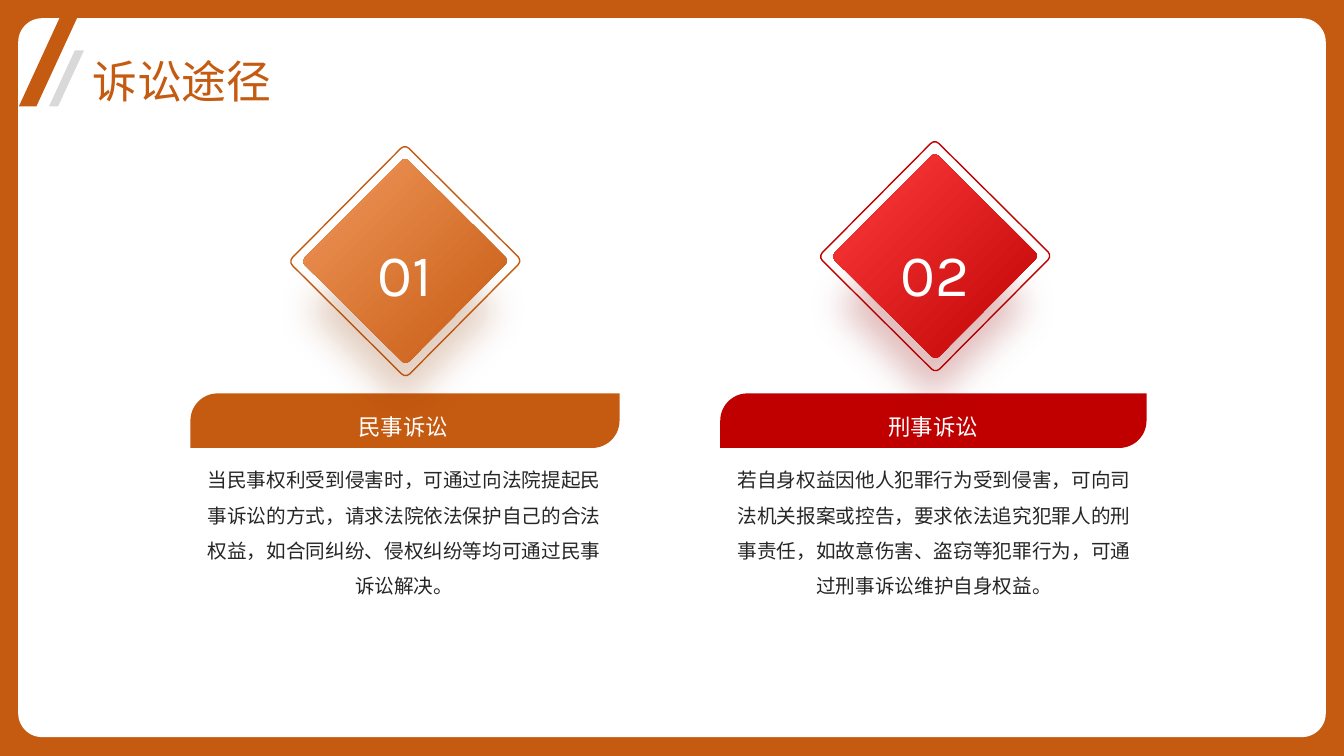
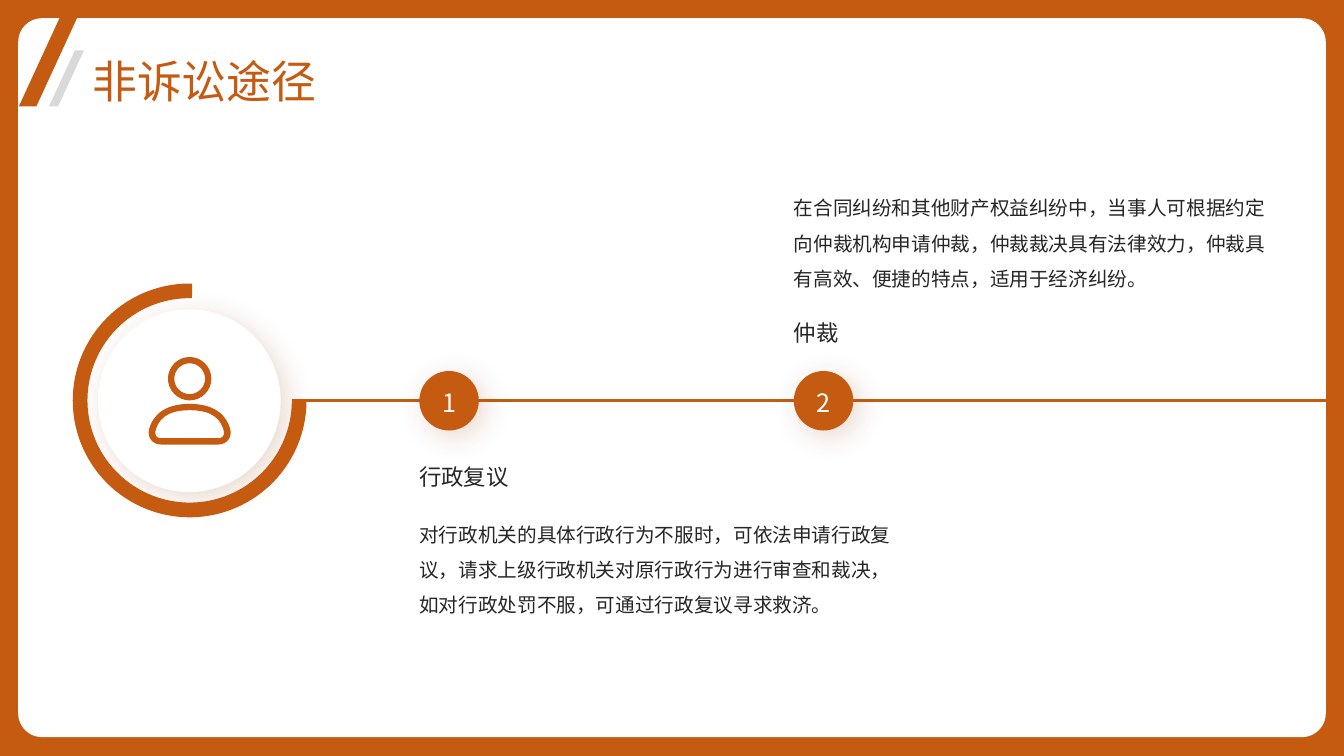
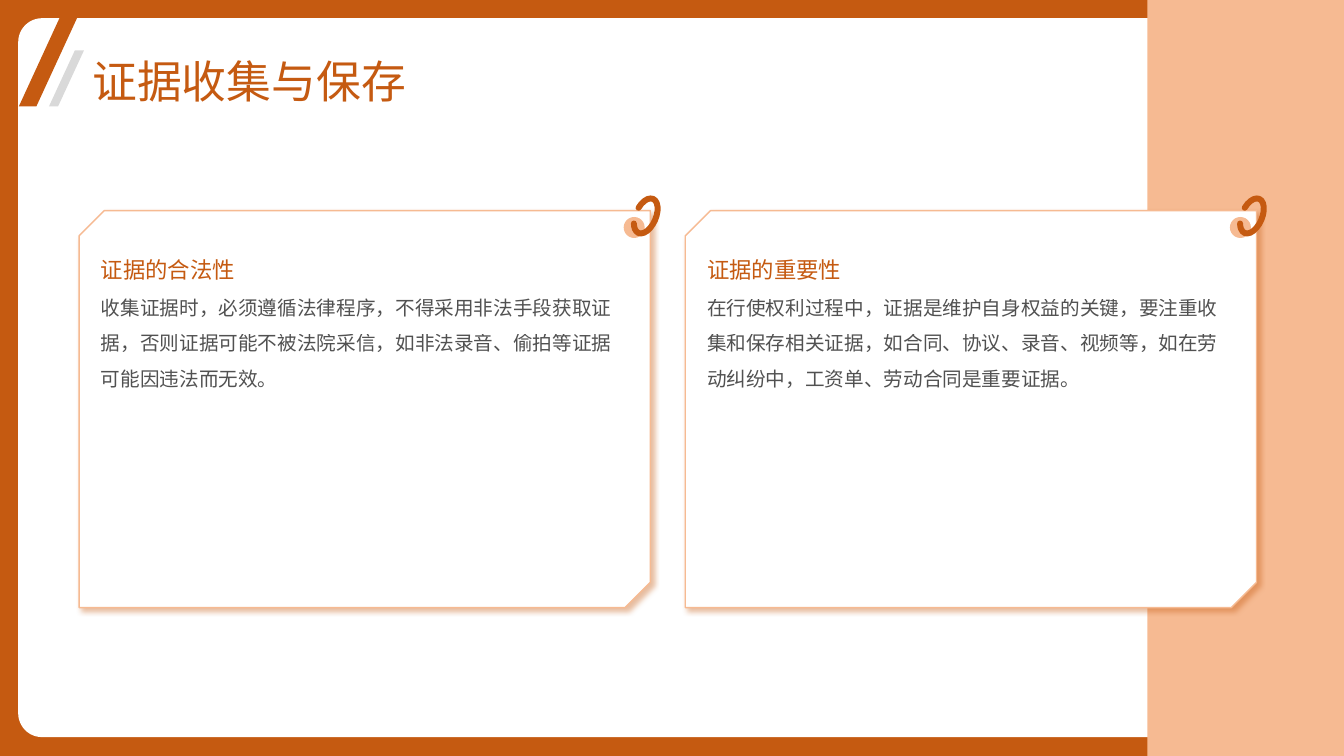
"""Builds three slides on legal remedies and evidence."""
from pptx import Presentation
from pptx import util as u
from pptx.dml.color import RGBColor
from pptx.enum import shapes, text
from pptx.oxml import ns
from pptx.oxml.xmlchemy import OxmlElement

SCALE = 914400 // 144
WIDTH, HEIGHT = 1920, 1080
CJK, LATIN = "Noto Sans CJK SC", "Karla"
COLORS = {
    "orange": "C55A11", "light_orange": "F1985C", "peach": "F6BA92", "brown": "94430D",
    "red": "C00000", "light_red": "FF4040", "dark_red": "900000",
    "white": "FFFFFF", "ink": "262626", "grey": "D9D9D9",
}
KIND = shapes.MSO_SHAPE
MIDDLE, TOP, BOTTOM = text.MSO_ANCHOR.MIDDLE, text.MSO_ANCHOR.TOP, text.MSO_ANCHOR.BOTTOM
LEFT, CENTER = text.PP_ALIGN.LEFT, text.PP_ALIGN.CENTER
SOFT_SHADOW = ("brown", 20, 20, 6, 45)
CARD_SHADOW = ("orange", 40, 4, 3, 45)

LAWSUITS = [
    {"number": "01", "name": "民事诉讼", "top": 255, "bar": 613,
     "colors": ("orange", "light_orange", "brown"),
     "body": "当民事权利受到侵害时，可通过向法院提起民事诉讼的方式，请求法院依法保护自己的合法权益，"
             "如合同纠纷、侵权纠纷等均可通过民事诉讼解决。"},
    {"number": "02", "name": "刑事诉讼", "top": 248, "bar": 609,
     "colors": ("red", "light_red", "dark_red"),
     "body": "若自身权益因他人犯罪行为受到侵害，可向司法机关报案或控告，要求依法追究犯罪人的刑事责任，"
             "如故意伤害、盗窃等犯罪行为，可通过刑事诉讼维护自身权益。"},
]
STEPS = [
    {"name": "行政复议", "name_top": 641, "body_top": 730, "anchor": TOP,
     "body": "对行政机关的具体行政行为不服时，可依法申请行政复议，请求上级行政机关对原行政行为进行审查和裁决，"
             "如对行政处罚不服，可通过行政复议寻求救济。"},
    {"name": "仲裁", "name_top": 435, "body_top": 216, "anchor": BOTTOM,
     "body": "在合同纠纷和其他财产权益纠纷中，当事人可根据约定向仲裁机构申请仲裁，仲裁裁决具有法律效力，"
             "仲裁具有高效、便捷的特点，适用于经济纠纷。"},
]
CARDS = [
    ("证据的合法性", "收集证据时，必须遵循法律程序，不得采用非法手段获取证据，否则证据可能不被法院采信，"
                "如非法录音、偷拍等证据可能因违法而无效。"),
    ("证据的重要性", "在行使权利过程中，证据是维护自身权益的关键，要注重收集和保存相关证据，"
                "如合同、协议、录音、视频等，如在劳动纠纷中，工资单、劳动合同是重要证据。"),
]
ICON_AXIS, ICON_TOP, ICON_BOTTOM, ICON_HALF = 271, 510, 635, 59
HEAD_CENTER, HEAD_RADII = 541, (31, 22)
SHOULDERS = [
    [(0, 577), (-38, 577), (-53, 595), (-58, 613), (-61, 625), (-53, 635), (-41, 635)],
    [(0, 586), (-35, 586), (-45, 601), (-49, 616), (-50, 622), (-47, 626), (-41, 626)],
]


def px(value):
    return u.Emu(round(value * SCALE))


def rgb(name):
    return RGBColor.from_string(COLORS[name])


def add_element(parent, tag, **attributes):
    element = OxmlElement(tag)
    for key, value in attributes.items():
        element.set(key, str(value))
    parent.append(element)
    return element


def add_shadow(shape, color, alpha, blur, distance, angle, size=100):
    effects = shape._element.spPr.find(ns.qn("a:effectLst"))
    outer = add_element(effects, "a:outerShdw", blurRad=u.Pt(blur), dist=u.Pt(distance),
                        dir=angle * 60000, sx=size * 1000, sy=size * 1000,
                        algn="ctr", rotWithShape=0)
    tone = add_element(outer, "a:srgbClr", val=COLORS[color])
    add_element(tone, "a:alpha", val=alpha * 1000)


def paint(shape, fill=None, line=None, weight=1, shadow=None):
    shape.shadow.inherit = False
    if fill:
        shape.fill.solid()
        shape.fill.fore_color.rgb = rgb(fill)
    else:
        shape.fill.background()
    if line:
        shape.line.color.rgb = rgb(line)
        shape.line.width = u.Pt(weight)
    else:
        shape.line.fill.background()
    if shadow:
        add_shadow(shape, *shadow)
    return shape


def draw(page, kind, left, top, width, height, adjust=(), rotation=0, **style):
    shape = page.shapes.add_shape(kind, px(left), px(top), px(width), px(height))
    for index, value in enumerate(adjust):
        shape.adjustments[index] = value
    shape.rotation = rotation
    return paint(shape, **style)


def fill_text(box, words, size, color="ink", align=LEFT, spacing=1.5, anchor=TOP,
              font=CJK, inset=True, alpha=100):
    frame = box.text_frame
    frame.text = words
    frame.word_wrap = True
    frame.vertical_anchor = anchor
    if not inset:
        frame.margin_left = frame.margin_top = frame.margin_right = frame.margin_bottom = 0
    para = frame.paragraphs[0]
    para.alignment, para.line_spacing = align, spacing
    span = para.runs[0]
    span.font.size, span.font.name = u.Pt(size), font
    span.font.color.rgb = rgb(color)
    properties = span.font._element
    add_element(properties, "a:ea", typeface=font)
    if alpha < 100:
        add_element(properties.find(".//" + ns.qn("a:srgbClr")), "a:alpha", val=alpha * 1000)


def write(page, words, left, top, width, height, size, inset=False, **style):
    box = page.shapes.add_textbox(px(left), px(top), px(width), px(height))
    fill_text(box, words, size, inset=inset, **style)


def add_page(deck):
    page = deck.slides.add_slide(deck.slide_layouts[6])
    draw(page, KIND.RECTANGLE, 0, 0, WIDTH, HEIGHT, fill="orange")
    draw(page, KIND.ROUNDED_RECTANGLE, 26, 26, 1868, 1027, (34 / 1027,), fill="white")
    return page


def add_title(page, words):
    write(page, words, 132, 75, 1682, 73, 32, color="orange", spacing=1.1, anchor=MIDDLE)
    draw(page, KIND.PARALLELOGRAM, 27, 0, 95, 152, (70 / 95,), fill="orange")
    draw(page, KIND.PARALLELOGRAM, 70, 72, 50, 80, (37 / 50,), fill="grey")


def add_lawsuit(page, left, item):
    main, light, shade = item["colors"]
    diamond = {"adjust": (8 / 236,), "rotation": 314.8}
    draw(page, KIND.ROUNDED_RECTANGLE, left + 173, item["top"], 236, 236, line=main, **diamond)
    draw(page, KIND.ROUND_2_DIAG_RECTANGLE, left - 16, 562, item["bar"], 78, (0.5, 0), fill=main)
    inner = draw(page, KIND.ROUNDED_RECTANGLE, left + 186, item["top"] + 13, 210, 210,
                 shadow=(shade, 25, 26, 30, 90, 90), **diamond)
    inner.fill.gradient()
    inner.fill.gradient_angle = 90
    for stop, color in zip(inner.fill.gradient_stops, (main, light)):
        stop.color.rgb = rgb(color)
    centred = {"color": "white", "align": CENTER, "anchor": MIDDLE}
    write(page, item["number"], left + 217, 292, 147, 145, 42, font=LATIN, **centred)
    write(page, item["name"], left, 572, 576, 55, 16, **centred)
    write(page, item["body"], left, 652, 579, 255, 14, align=CENTER)


def add_step(page, left, number, step):
    write(page, step["name"], left, step["name_top"], 680, 73, 16, spacing=1.2, anchor=MIDDLE)
    write(page, step["body"], left, step["body_top"], 680, 199, 14, anchor=step["anchor"])
    dot = draw(page, KIND.OVAL, left, 530, 85, 85, fill="orange", shadow=SOFT_SHADOW)
    fill_text(dot, str(number), 18, color="white", align=CENTER, spacing=1.1, anchor=MIDDLE)


def mirror(half):
    return half + [(-x, y) for x, y in reversed(half)]


def ring(radius):
    bend = 0.55 * radius
    left = [(0, -radius), (-bend, -radius), (-radius, -bend), (-radius, 0),
            (-radius, bend), (-bend, radius), (0, radius)]
    right = [(-x, y) for x, y in reversed(left)]
    return [(x, HEAD_CENTER + y) for x, y in left + right[1:]]


def add_points(parent, tag, points):
    step = add_element(parent, tag)
    for x, y in points:
        add_element(step, "a:pt", x=px(x + ICON_HALF), y=px(y - ICON_TOP))


def add_curves(outline, points):
    for index in range(0, len(points) - 3, 3):
        add_points(outline, "a:cubicBezTo", points[index + 1:index + 4])


def add_person(page):
    left, right = ICON_AXIS - ICON_HALF, ICON_AXIS + ICON_HALF
    corners = [(right, ICON_TOP), (right, ICON_BOTTOM), (left, ICON_BOTTOM)]
    builder = page.shapes.build_freeform(px(left), px(ICON_TOP))
    builder.add_line_segments([(px(x), px(y)) for x, y in corners])
    person = paint(builder.convert_to_shape(), fill="orange")
    outline = person._element.spPr.find(".//" + ns.qn("a:path"))
    for child in list(outline):
        outline.remove(child)
    for radius in HEAD_RADII:
        points = ring(radius)
        add_points(outline, "a:moveTo", points[:1])
        add_curves(outline, points)
        add_element(outline, "a:close")
    for half in SHOULDERS:
        points = mirror(half)
        add_points(outline, "a:moveTo", points[:1])
        add_curves(outline, points[:7])
        add_points(outline, "a:lnTo", points[7:8])
        add_curves(outline, points[7:])
        add_element(outline, "a:close")


def add_card(page, left, name, body):
    draw(page, KIND.SNIP_2_DIAG_RECTANGLE, left, 301, 816, 567, (36 / 567, 0),
         fill="white", line="peach", shadow=CARD_SHADOW)
    write(page, body, left + 17, 399, 782, 444, 14, inset=True, alpha=80)
    write(page, name, left + 17, 357, 782, 45, 16, inset=True, color="orange",
          spacing=1.3, anchor=MIDDLE)
    draw(page, KIND.OVAL, left + 778, 310, 30, 30, fill="peach")
    clip = draw(page, KIND.ARC, left + 783, 294, 53, 29, (195.34, 146.88), 293.2,
                line="orange", weight=4.25)
    clip._element.spPr.xfrm.set("flipH", "1")
    clip.line._get_or_add_ln().set("cap", "rnd")


def build_lawsuits(deck):
    page = add_page(deck)
    for index, item in enumerate(LAWSUITS):
        add_lawsuit(page, 288 + 757 * index, item)
    add_title(page, "诉讼途径")


def build_alternatives(deck):
    page = add_page(deck)
    axis = page.shapes.add_connector(shapes.MSO_CONNECTOR.STRAIGHT, px(422), px(572), px(WIDTH), px(572))
    axis.line.color.rgb = rgb("orange")
    axis.line.width = u.Pt(2)
    add_element(axis._element.spPr, "a:effectLst")
    for index, step in enumerate(STEPS):
        add_step(page, 599 + 535 * index, index + 1, step)
    draw(page, KIND.OVAL, 140, 442, 261, 261, fill="white", shadow=SOFT_SHADOW)
    add_person(page)
    draw(page, KIND.BLOCK_ARC, 104, 405, 334, 334, (215.6, 162.76, 21 / 334), fill="orange")
    add_title(page, "非诉讼途径")


def build_evidence(deck):
    page = add_page(deck)
    draw(page, KIND.RECTANGLE, 1639, 0, WIDTH - 1639, HEIGHT, fill="peach")
    for index, (name, body) in enumerate(CARDS):
        add_card(page, 113 + 866 * index, name, body)
    add_title(page, "证据收集与保存")


def main():
    deck = Presentation()
    deck.slide_width, deck.slide_height = px(WIDTH), px(HEIGHT)
    build_lawsuits(deck)
    build_alternatives(deck)
    build_evidence(deck)
    deck.save("out.pptx")


if __name__ == "__main__":
    main()
